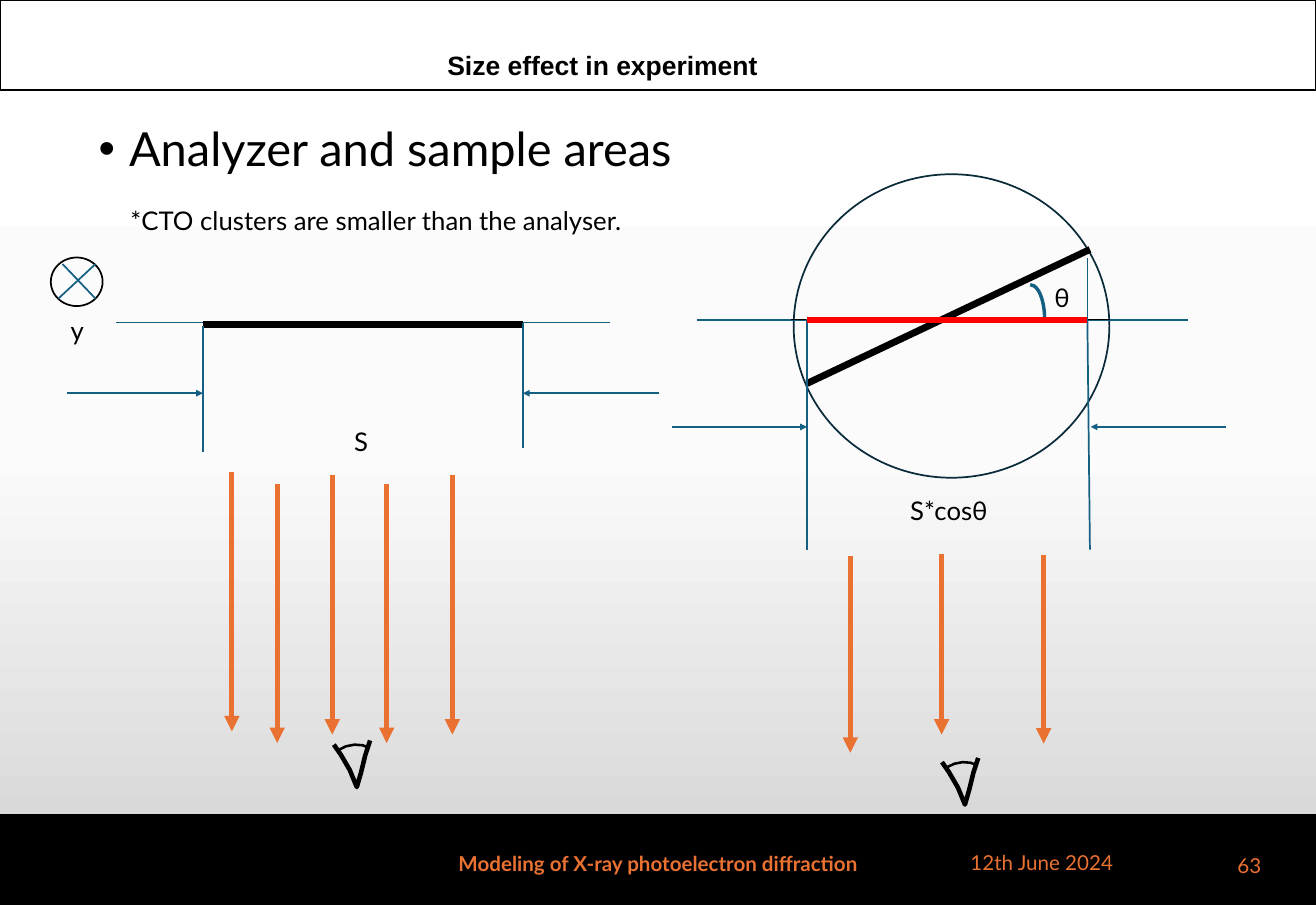
import copy
import lxml.etree
import pptx
import pptx.dml.color
import pptx.enum.shapes
import pptx.enum.text
import pptx.oxml.ns
import pptx.util
from dataclasses import dataclass

Cm, Pt = pptx.util.Cm, pptx.util.Pt
RGB = pptx.dml.color.RGBColor.from_string
Kind = pptx.enum.shapes.MSO_SHAPE
Align = pptx.enum.text.PP_ALIGN
Anchor = pptx.enum.text.MSO_ANCHOR
qn = pptx.oxml.ns.qn


@dataclass
class Theme:
    black: str = "000000"
    white: str = "FFFFFF"
    teal: str = "156082"
    navy: str = "092A39"
    orange: str = "E97132"
    red: str = "FF0000"
    sans: str = "Lato"
    head: str = "Arial"
    title: float = 40
    body: float = 41.1
    label: float = 22.5
    foot: float = 18
    thin: float = 1.5
    arc: float = 3
    ray: float = 4.5
    bar: float = 6


theme = Theme()
deck = pptx.Presentation()
deck.slide_width, deck.slide_height = Cm(40.64), Cm(27.94)
slide = deck.slides.add_slide(deck.slide_layouts[1])
shapes = slide.shapes


def write(para, words, size, color, bold=False, font=theme.sans):
    run = para.add_run()
    run.text = words
    run.font.name, run.font.size, run.font.bold = font, Pt(size), bold
    run.font.color.rgb = RGB(color)
    return run


def link(x1, y1, x2, y2, color=theme.teal, width=theme.thin, arrow=False):
    line = shapes.add_connector(pptx.enum.shapes.MSO_CONNECTOR.STRAIGHT,
                                Cm(x1), Cm(y1), Cm(x2), Cm(y2))
    line.line.color.rgb, line.line.width = RGB(color), Pt(width)
    props = line._element.spPr
    if arrow:
        lxml.etree.SubElement(props.find(qn("a:ln")), qn("a:tailEnd"), type="triangle")
    lxml.etree.SubElement(props, qn("a:effectLst"))


# Background gradient
fill = slide.background.fill
fill.gradient()
fill.gradient_angle = 270
first = fill.gradient_stops[0]._gs
first.addnext(copy.deepcopy(first))
for stop, (place, color) in zip(fill.gradient_stops,
                                [(0, "FFFFFF"), (0.5, "FBFBFB"), (1, "D1D1D1")]):
    stop.position, stop.color.rgb = place, RGB(color)

# Header and footer bands, behind the placeholders
for spot, (top, color) in enumerate([(0, theme.white), (25.17, theme.black)], 2):
    band = shapes.add_shape(Kind.RECTANGLE, 0, Cm(top), deck.slide_width, Cm(2.77))
    band.shadow.inherit = False
    band.fill.solid()
    band.fill.fore_color.rgb = RGB(color)
    band.line.color.rgb, band.line.width = RGB(theme.black), Pt(theme.thin)
    shapes._spTree.insert(spot, band._element)

# Title
title = shapes.title
title.left, title.top, title.width, title.height = Cm(13.46), Cm(1.12), Cm(22.12), Cm(1.4)
title.text_frame.vertical_anchor = Anchor.TOP
para = title.text_frame.paragraphs[0]
para.alignment = Align.LEFT
para._p.get_or_add_pPr().set("marL", str(Cm(0.1)))
run = write(para, "Size effect in experiment", theme.title, theme.black, True, theme.head)
run._r.get_or_add_rPr().set("baseline", "23000")

# Body list
body = slide.placeholders[1]
body.left, body.top, body.width, body.height = Cm(2.79), Cm(3.76), Cm(35.05), Cm(17.73)
para = body.text_frame.paragraphs[0]
props = para._p.get_or_add_pPr()
props.set("marL", str(Cm(0.94)))
props.set("indent", str(Cm(-0.94)))
lxml.etree.SubElement(props, qn("a:buChar"), char="•")
para.line_spacing, para.space_before = 0.9, Pt(0)
write(para, "Analyzer and sample areas", theme.body, theme.black)

# Circles and angle arc
for kind, x, y, wide, high, color, width in [
    (Kind.FLOWCHART_CONNECTOR, 24.51, 5.38, 9.75, 9.37, theme.navy, theme.thin),
    (Kind.ARC, 31.37, 8.79, 0.89, 2.08, theme.teal, theme.arc),
    (Kind.FLOWCHART_CONNECTOR, 1.57, 7.95, 1.6, 1.5, theme.black, theme.thin),
]:
    curve = shapes.add_shape(kind, Cm(x), Cm(y), Cm(wide), Cm(high))
    curve.shadow.inherit = False
    curve.fill.background()
    curve.line.color.rgb, curve.line.width = RGB(color), Pt(width)

# Cross in the y axis mark
link(2.95, 8.15, 1.8, 9.22)
link(1.93, 8.15, 2.95, 9.22)

# Flat sample
link(3.58, 9.96, 18.85, 9.96)
link(6.27, 10.01, 16.15, 10.01, theme.black, theme.bar)
link(6.27, 10.08, 6.27, 13.97)
link(16.15, 9.96, 16.15, 13.84)

# Tilted sample and its projection
link(21.51, 9.88, 36.7, 9.88)
link(24.43, 9.86, 34.29, 9.86, theme.black)
link(24.92, 11.84, 33.66, 7.7, theme.black, theme.bar)
link(24.92, 9.86, 24.92, 16.97)
link(33.58, 9.88, 33.58, 7.95)
link(33.58, 9.86, 33.66, 16.97)
link(24.92, 9.88, 33.58, 9.88, theme.red, theme.ray)

# Width pointers
for start, end, y in [(2.08, 6.27, 12.14), (20.35, 16.15, 12.14),
                      (20.75, 24.92, 13.18), (37.87, 33.68, 13.18)]:
    link(start, y, end, y, arrow=True)

# Rays to the analyser
for x, top, end in [(7.16, 14.58, 22.58), (8.56, 14.94, 22.94), (10.26, 14.68, 22.68),
                    (11.94, 14.94, 22.94), (13.97, 14.68, 22.68),
                    (26.26, 17.17, 23.24), (29.08, 17.09, 22.68), (32.23, 17.12, 22.96)]:
    link(x, top, x, end, theme.orange, theme.ray, True)

# Eyes, in hundredths of a centimetre from the tip
sides = [(-71, -131), (-50, -101), (-22, -53), (0, 0), (13, -45), (26, -98), (41, -144)]
lid = [(-58, -114), (-33, -126), (-7, -131), (18, -129), (31, -124)]
for x, y in [(1102, 2430), (2980, 2484)]:
    for dots, width in [(sides, 4), (lid, 2.25)]:
        dots = [(x + dx, y + dy) for dx, dy in dots]
        pen = shapes.build_freeform(*dots[0], scale=Cm(0.01))
        pen.add_line_segments(dots[1:], close=False)
        part = pen.convert_to_shape()
        part.shadow.inherit = False
        part.fill.background()
        part.line.color.rgb, part.line.width = RGB(theme.black), Pt(width)

# Labels and footer text
label = (1.22, theme.label, theme.black, False, Align.LEFT, Anchor.TOP)
foot = (1.5, theme.foot, theme.orange)
for words, x, y, wide, (high, size, color, bold, align, anchor) in [
    ("*CTO clusters are smaller than the analyser.", 3.78, 6.2, 16.21, label),
    ("y", 1.93, 9.58, 1.3, label),
    ("θ", 32.31, 8.56, 1.35, label),
    ("S", 10.69, 13.03, 4.65, label),
    ("S*cosθ", 27.86, 15.16, 4.65, label),
    ("Modeling of X-ray photoelectron diffraction", 13.46, 25.91, 13.72,
     (*foot, True, Align.CENTER, Anchor.MIDDLE)),
    ("12th June 2024", 29.72, 25.86, 5.59, (*foot, False, Align.LEFT, Anchor.MIDDLE)),
    ("63", 37.85, 25.96, 1.35, (*foot, False, Align.RIGHT, Anchor.MIDDLE)),
]:
    box = shapes.add_textbox(Cm(x), Cm(y), Cm(wide), Cm(high))
    box.text_frame.word_wrap = True
    box.text_frame.vertical_anchor = anchor
    para = box.text_frame.paragraphs[0]
    para.alignment = align
    write(para, words, size, color, bold)

deck.save("out.pptx")
